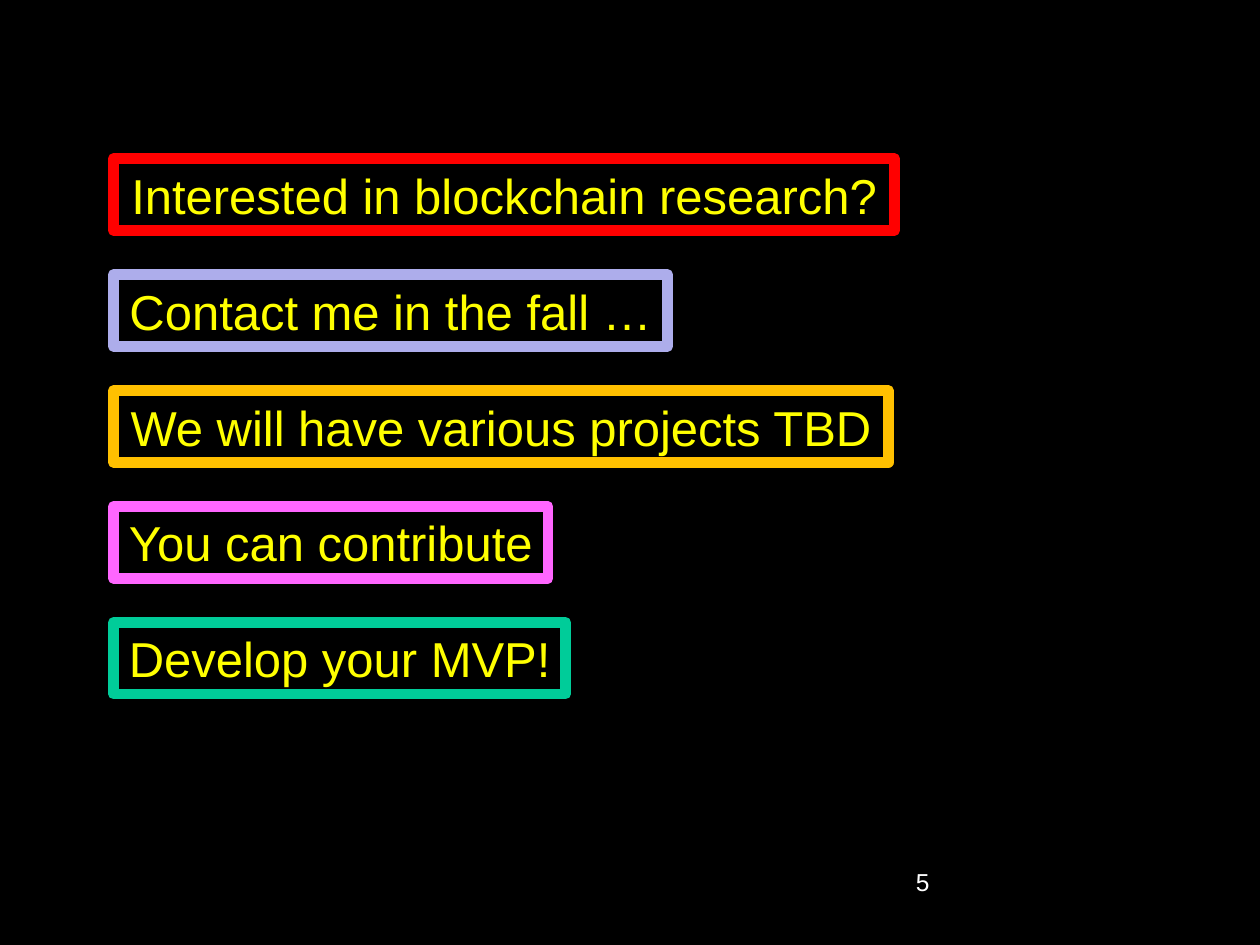
from pptx import Presentation
from pptx.dml.color import RGBColor
from pptx.enum.shapes import MSO_SHAPE
from pptx.enum.text import MSO_ANCHOR, MSO_AUTO_SIZE, PP_ALIGN
from pptx.util import Inches, Pt

RECTANGLE = MSO_SHAPE.RECTANGLE
MIDDLE = MSO_ANCHOR.MIDDLE
GROW = MSO_AUTO_SIZE.SHAPE_TO_FIT_TEXT
CENTER = PP_ALIGN.CENTER

BLACK = RGBColor(0x00, 0x00, 0x00)
WHITE = RGBColor(0xFF, 0xFF, 0xFF)
YELLOW = RGBColor(0xFF, 0xFF, 0x00)
RED = RGBColor(0xFF, 0x00, 0x00)
LAVENDER = RGBColor(0xAD, 0xAD, 0xEB)
ORANGE = RGBColor(0xFF, 0xC0, 0x00)
PINK = RGBColor(0xFF, 0x66, 0xFF)
GREEN = RGBColor(0x00, 0xCC, 0x99)

FONT = "Arial"
BOX_LEFT, BOX_TOP, BOX_HEIGHT, BOX_STEP = 0.9, 1.26, 0.57, 0.92

# Text, width in inches, frame colour
MESSAGES = [
    ("Interested in blockchain research?", 6.2, RED),
    ("Contact me in the fall …", 4.4, LAVENDER),
    ("We will have various projects TBD", 6.15, ORANGE),
    ("You can contribute", 3.45, PINK),
    ("Develop your MVP!", 3.59, GREEN),
]


def write_text(text_frame, text, size, color):
    paragraph = text_frame.paragraphs[0]
    paragraph.text = text
    paragraph.font.name = FONT
    paragraph.font.size = Pt(size)
    paragraph.font.color.rgb = color
    return paragraph


def add_message_box(slide, top, text, width, frame_color):
    shape = slide.shapes.add_shape(
        RECTANGLE, Inches(BOX_LEFT), Inches(top), Inches(width), Inches(BOX_HEIGHT))
    shape.shadow.inherit = False
    shape.fill.solid()
    shape.fill.fore_color.rgb = BLACK
    shape.line.color.rgb = frame_color
    shape.line.width = Pt(6)
    text_frame = shape.text_frame
    text_frame.word_wrap = False
    text_frame.auto_size = GROW
    text_frame.vertical_anchor = MIDDLE
    write_text(text_frame, text, 28, YELLOW).alignment = CENTER


def add_page_number(slide, number):
    box = slide.shapes.add_textbox(Inches(7.17), Inches(6.83), Inches(2.08), Inches(0.5))
    box.text_frame.word_wrap = True
    write_text(box.text_frame, number, 14, WHITE)


def main():
    presentation = Presentation()
    presentation.slide_width = Inches(10)
    presentation.slide_height = Inches(7.5)
    slide = presentation.slides.add_slide(presentation.slide_layouts[6])

    # Background
    slide.background.fill.solid()
    slide.background.fill.fore_color.rgb = BLACK

    # Evenly spaced message boxes
    for index, (text, width, frame_color) in enumerate(MESSAGES):
        add_message_box(slide, BOX_TOP + index * BOX_STEP, text, width, frame_color)

    # Page number
    add_page_number(slide, "5")

    presentation.save("out.pptx")


if __name__ == "__main__":
    main()
